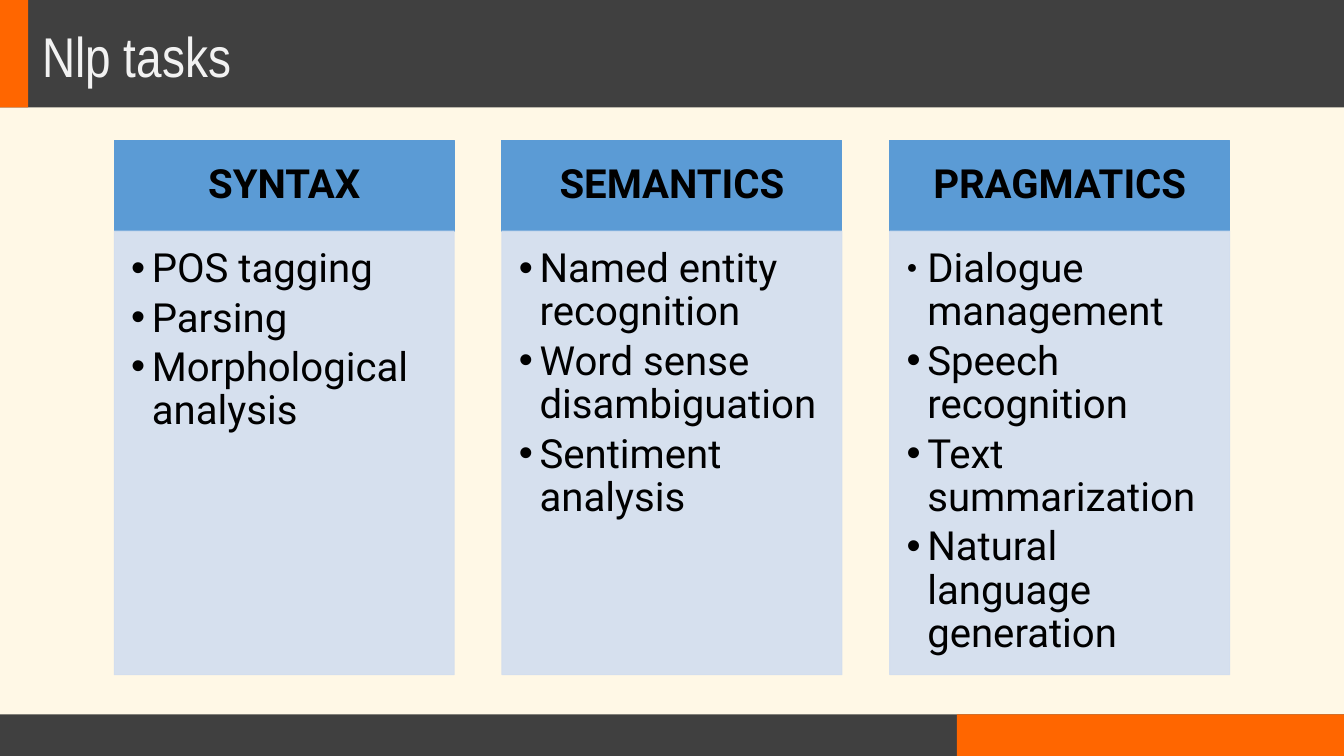
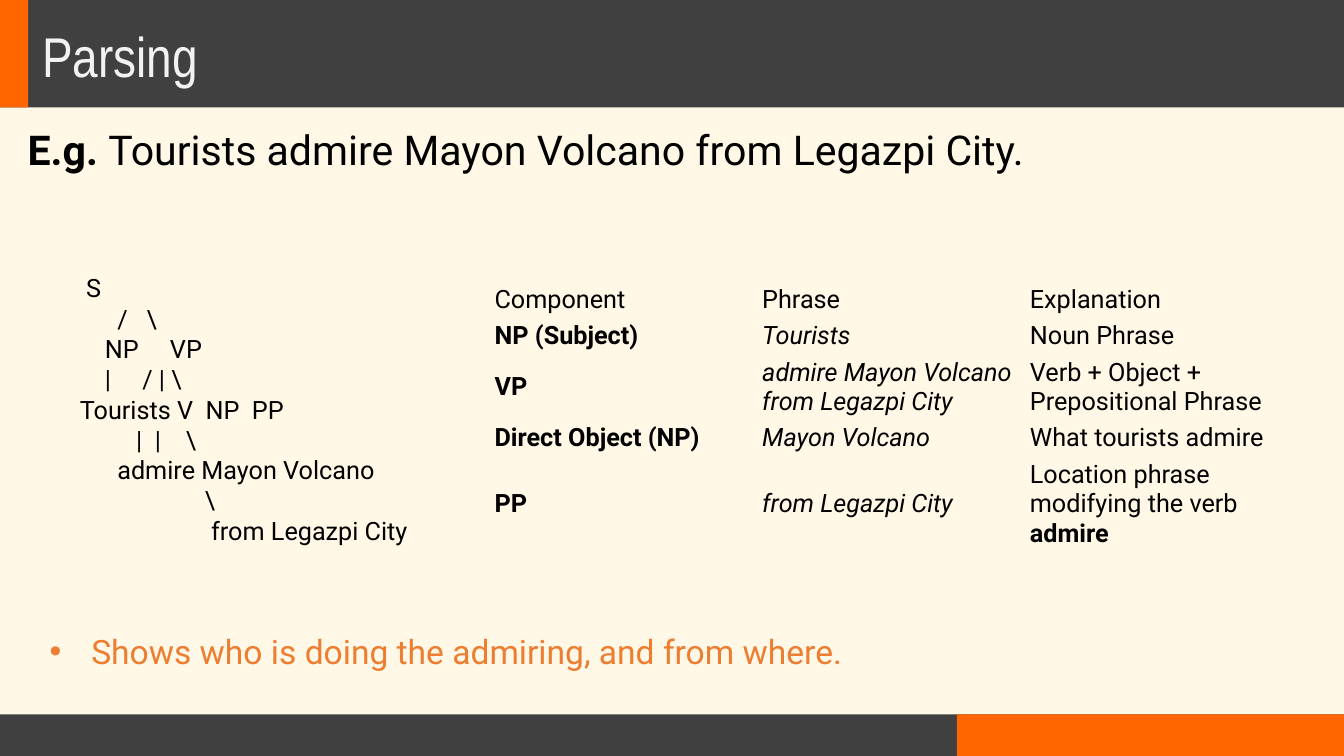
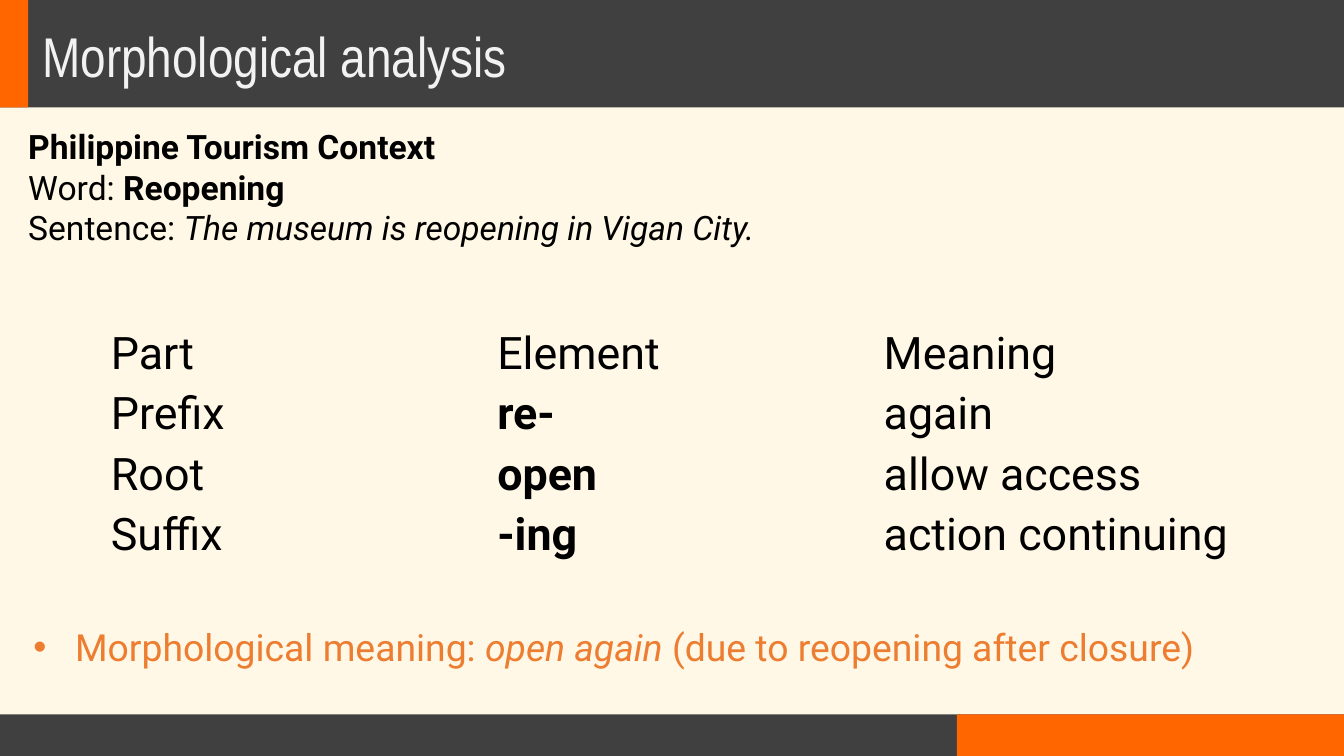
from lxml import etree
from pptx import Presentation
from pptx.dml.color import RGBColor
from pptx.enum.shapes import MSO_SHAPE
from pptx.enum.text import MSO_ANCHOR, MSO_AUTO_SIZE, PP_ALIGN
from pptx.oxml.ns import qn
from pptx.util import Inches, Pt

RECT = MSO_SHAPE.RECTANGLE
TOP, MID = MSO_ANCHOR.TOP, MSO_ANCHOR.MIDDLE
LEFT, CENTER = PP_ALIGN.LEFT, PP_ALIGN.CENTER
FIXED = MSO_AUTO_SIZE.NONE
PLAIN = "{2D5ABB26-0587-4C30-8999-92F81FD0307C}"
WIDE, HIGH = 20, 11.25
INK = {
    "cream": "FFF8E6", "dark": "404040", "orange": "FF6600", "pale": "F2F2F2",
    "blue": "5B9BD5", "sky": "D2DEEF", "black": "000000", "note": "ED7D31",
}
CARDS = [
    ("SYNTAX", ["POS tagging", "Parsing", "Morphological analysis"], {}),
    ("SEMANTICS", ["Named entity recognition", "Word sense disambiguation",
                   "Sentiment analysis"], {}),
    ("PRAGMATICS", ["Dialogue management", "Speech recognition",
                    "Text summarization", "Natural language generation"],
     {0: ("●", 45)}),
]
TREE = r"""
 S
      /   \
    NP     VP
    |     / | \
Tourists V  NP  PP
         |  |    \
      admire Mayon Volcano
                    \
                     from Legazpi City
""".strip("\n").split("\n")
PHRASES = [
    ["Component", "Phrase", "Explanation"],
    [[("NP (Subject)", "b")], [("Tourists", "i")], "Noun Phrase"],
    [[("VP", "b")], [("admire Mayon Volcano from Legazpi City", "i")],
     "Verb + Object + Prepositional Phrase"],
    [[("Direct Object (NP)", "b")], [("Mayon Volcano", "i")], "What tourists admire"],
    [[("PP", "b")], [("from Legazpi City", "i")],
     [("Location phrase modifying the verb ", ""), ("admire", "b")]],
]
PARTS = [
    ["Part", "Element", "Meaning"],
    ["Prefix", [("re-", "b")], "again"],
    ["Root", [("open", "b")], "allow access"],
    ["Suffix", [("-ing", "b")], "action continuing"],
]


def tint(name):
    """Return the named colour."""
    return RGBColor.from_string(INK[name])


def inch(box):
    """Turn a box of numbers into lengths."""
    return [Inches(n) for n in box]


def mark(para, sign, hang):
    """Set the bullet and hanging indent of a paragraph."""
    props = para._p.get_or_add_pPr()
    props.set("marL", str(Inches(hang)))
    props.set("indent", str(-Inches(hang)))
    if not sign:
        etree.SubElement(props, qn("a:buNone"))
        return
    char, scale = sign
    etree.SubElement(props, qn("a:buSzPct")).set("val", str(scale * 1000))
    etree.SubElement(props, qn("a:buFont")).set("typeface", "Arial")
    etree.SubElement(props, qn("a:buChar")).set("char", char)


def write(frame, paras, size, color="black", font="Roboto", align=LEFT, line=1.0,
          after=0, hang=0, sign=None, odd=None, anchor=TOP,
          inset=(0.1, 0.05, 0.1, 0.05)):
    """Fill a text frame with paragraphs of strings or (text, style) runs."""
    frame.word_wrap = True
    frame.auto_size = FIXED
    frame.vertical_anchor = anchor
    (frame.margin_left, frame.margin_top,
     frame.margin_right, frame.margin_bottom) = inch(inset)
    for n, runs in enumerate(paras):
        para = frame.add_paragraph() if n else frame.paragraphs[0]
        mark(para, (odd or {}).get(n, sign), hang)
        para.alignment = align
        para.line_spacing = line
        para.space_before = Pt(0)
        para.space_after = Pt(after)
        for text, style in [(runs, "")] if isinstance(runs, str) else runs:
            run = para.add_run()
            run.text = text
            run.font.name, run.font.size = font, Pt(size)
            run.font.color.rgb = tint(color)
            run.font.bold, run.font.italic = "b" in style, "i" in style


def place(shape, box):
    """Move a shape to a box."""
    shape.left, shape.top, shape.width, shape.height = inch(box)


def block(slide, box, color, edge=False, alpha=None):
    """Add a filled rectangle."""
    shape = slide.shapes.add_shape(RECT, *inch(box))
    shape.shadow.inherit = False
    shape.fill.solid()
    shape.fill.fore_color.rgb = tint(color)
    if edge:
        shape.line.color.rgb = tint(color)
        shape.line.width = Pt(1)
    else:
        shape.line.fill.background()
    if alpha:
        for node in shape._element.spPr.iter(qn("a:srgbClr")):
            etree.SubElement(node, qn("a:alpha")).set("val", str(alpha * 1000))
    return shape


def start(deck, layout, title):
    """Add a slide with its bands and title."""
    slide = deck.slides.add_slide(deck.slide_layouts[layout])
    foot, band, split = 0.62, 1.6, 14.24
    base = HIGH - foot
    bands = [
        ((0, base, WIDE, foot), "dark"),
        ((split, base, WIDE - split, foot), "orange"),
        ((0, 0, WIDE, band), "dark"),
        ((0, 0, 0.42, band), "orange"),
    ]
    for n, (box, color) in enumerate(bands):
        slide.shapes._spTree.insert(2 + n, block(slide, box, color)._element)
    place(slide.shapes.title, (0.53, 0.46, 19.3, 0.84))
    write(slide.shapes.title.text_frame, [title], 60, "pale", "Arial Narrow",
          line=0.9, anchor=MID)
    return slide


def lead(slide, box, paras, size, line=1.0):
    """Fill the body placeholder above the table."""
    body = slide.placeholders[1]
    place(body, box)
    write(body.text_frame, paras, size, line=line)


def label(slide, box, paras, size, **form):
    """Add a text box."""
    write(slide.shapes.add_textbox(*inch(box)).text_frame, paras, size, **form)


def note(slide, box, runs, size):
    """Add the closing bullet."""
    label(slide, box, [runs], size, color="note", hang=0.62, sign=("•", 100))


def grid(slide, box, rows, tall, size):
    """Add a plain table with equal columns and the given row heights."""
    table = slide.shapes.add_table(len(rows), len(rows[0]), *inch(box)).table
    table.first_row = table.horz_banding = False
    table._tbl.tblPr.find(qn("a:tableStyleId")).text = PLAIN
    for r, row in enumerate(rows):
        table.rows[r].height = Inches(tall[r])
        for c, runs in enumerate(row):
            cell = table.cell(r, c)
            cell.fill.background()
            write(cell.text_frame, [runs], size)
            cell.vertical_anchor = MID


def card(slide, box, head, items, odd):
    """Add a heading block with a bullet list below it."""
    left, top, wide, high = box
    cap = 1.35
    shape = block(slide, (left, top, wide, cap), "blue", edge=True)
    write(shape.text_frame, [[(head, "b")]], 43, align=CENTER, line=0.9, anchor=MID,
          inset=(0.33, 0.19, 0.33, 0.19))
    shape = block(slide, (left, top + cap, wide, high - cap), "sky", edge=True, alpha=90)
    write(shape.text_frame, items, 43, line=0.9, after=6.5, hang=0.31,
          sign=("•", 100), odd=odd, inset=(0.25, 0.25, 0.33, 0.38))


def tasks(deck):
    """Build the slide of three task cards."""
    slide = start(deck, 5, "Nlp tasks")
    for n, (head, items, odd) in enumerate(CARDS):
        card(slide, (1.7 + n * 5.77, 2.09, 5.06, 7.95), head, items, odd)


def parsing(deck):
    """Build the parsing slide."""
    slide = start(deck, 1, "Parsing")
    lead(slide, (0.31, 1.89, 18.9, 1.16),
         [[("E.g. ", "b"), ("Tourists admire Mayon Volcano from Legazpi City.", "")]],
         44, 0.9)
    grid(slide, (7.26, 4.19, 11.95, 4.1), PHRASES, [0.54, 0.54, 0.98, 0.54, 1.42], 27)
    label(slide, (1.09, 4.01, 11.37, 4.19), TREE, 27)
    note(slide, (0.64, 9.34, 12.9, 0.71),
         "Shows who is doing the admiring, and from where.", 36)


def morphs(deck):
    """Build the morphological analysis slide."""
    slide = start(deck, 1, "Morphological analysis")
    lead(slide, (0.32, 1.83, 13.6, 1.92), [
        [("Philippine Tourism Context", "b")],
        [("Word: ", ""), ("Reopening", "b")],
        [("Sentence: ", ""), ("The museum is reopening in Vigan City.", "i")],
    ], 36)
    grid(slide, (1.55, 4.82, 17.25, 3.6), PARTS, [0.9] * len(PARTS), 48)
    note(slide, (0.4, 9.24, 18.13, 0.77),
         [("Morphological meaning: ", ""), ("open again", "i"),
          (" (due to reopening after closure)", "")], 40)


def main():
    """Build and save the deck."""
    deck = Presentation()
    deck.slide_width, deck.slide_height = Inches(WIDE), Inches(HIGH)
    fill = deck.slide_master.background.fill
    fill.solid()
    fill.fore_color.rgb = tint("cream")
    for build in (tasks, parsing, morphs):
        build(deck)
    deck.save("out.pptx")


if __name__ == "__main__":
    main()
